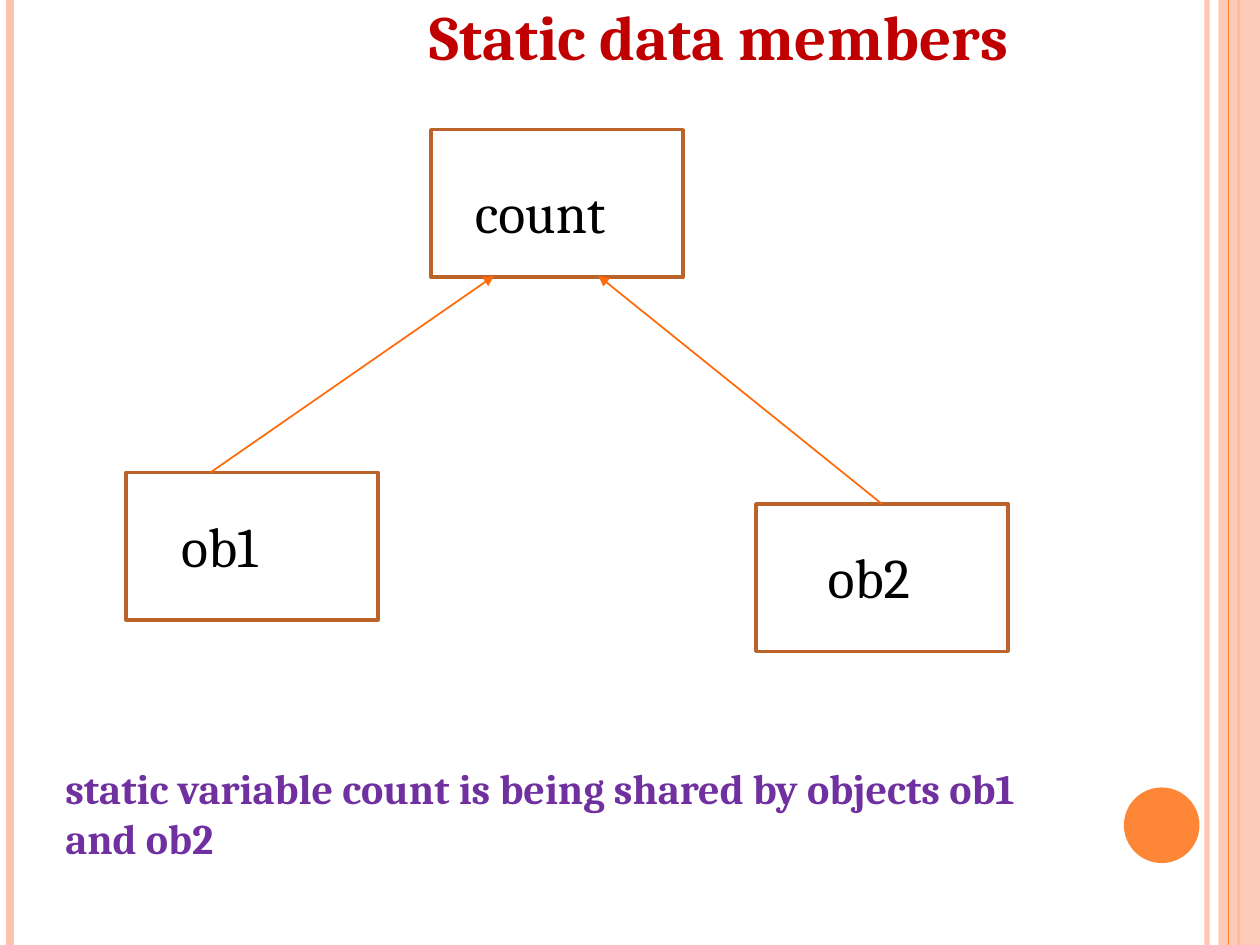
import pptx
import pptx.util
import pptx.dml.color
import pptx.enum.shapes
import pptx.enum.text
import pptx.oxml
import pptx.oxml.ns

Pt = pptx.util.Pt
RGB = pptx.dml.color.RGBColor
SHAPE = pptx.enum.shapes.MSO_SHAPE
ALIGN = pptx.enum.text.PP_ALIGN
ANCHOR = pptx.enum.text.MSO_ANCHOR
FIT = pptx.enum.text.MSO_AUTO_SIZE

PX = 9144
WIDE, HIGH = 1000, 750
FONT = "Cambria"
RED = RGB(0xC0, 0x00, 0x00)
PURPLE = RGB(0x70, 0x30, 0xA0)
BLACK = RGB(0x00, 0x00, 0x00)
BROWN = RGB(0xBC, 0x63, 0x29)
ORANGE = RGB(0xFE, 0x86, 0x37)
BRIGHT = RGB(0xFF, 0x6B, 0x0A)
PEACH = RGB(0xFE, 0xC3, 0xAE)


def emu(*sizes):
    return [size * PX for size in sizes]


def add_child(parent, tag, **attrs):
    child = pptx.oxml.parse_xml(f"<a:{tag} {pptx.oxml.ns.nsdecls('a')}/>")
    for name, value in attrs.items():
        child.set(name, value)
    parent.append(child)


def fade(fill, percent):
    color = fill._xPr.find(".//" + pptx.oxml.ns.qn("a:srgbClr"))
    add_child(color, "alpha", val=str(percent * 1000))


def add_line(slide, start, end, color, width):
    kind = pptx.enum.shapes.MSO_CONNECTOR.STRAIGHT
    line = slide.shapes.add_connector(kind, *emu(*start, *end))
    line.line.color.rgb = color
    line.line.width = Pt(width)
    add_child(line._element.spPr, "effectLst")
    return line


def add_arrow(slide, start, end):
    arrow = add_line(slide, start, end, BRIGHT, 1)
    add_child(arrow.line._get_or_add_ln(), "tailEnd", type="triangle")
    return arrow


def add_rail(slide, x, color, width):
    return add_line(slide, (x, 0), (x, HIGH), color, width)


def add_solid(slide, kind, place, color):
    shape = slide.shapes.add_shape(kind, *emu(*place))
    shape.shadow.inherit = False
    shape.fill.solid()
    shape.fill.fore_color.rgb = color
    shape.line.fill.background()
    return shape


def add_box(slide, x, y):
    box = slide.shapes.add_shape(SHAPE.RECTANGLE, *emu(x, y, 200, 117))
    box.shadow.inherit = False
    box.fill.background()
    box.line.color.rgb = BROWN
    box.line.width = Pt(2)
    return box


def set_text(shape, text, size, color, bold=False, align=ALIGN.LEFT):
    frame = shape.text_frame
    frame.text = text
    frame.word_wrap = True
    para = frame.paragraphs[0]
    para.alignment = align
    font = para.runs[0].font
    font.name, font.size, font.bold = FONT, Pt(size), bold
    font.color.rgb = color


def add_text(slide, place, text, size, color, bold=False):
    label = slide.shapes.add_textbox(*emu(*place))
    set_text(label, text, size, color, bold)
    label.text_frame.auto_size = FIT.SHAPE_TO_FIT_TEXT


def set_title(slide, text):
    title = slide.shapes.title
    title.left, title.top, title.width, title.height = emu(208, -8, 725, 72)
    set_text(title, text, 36, RED, True, ALIGN.CENTER)
    title.text_frame.auto_size = FIT.NONE
    title.text_frame.vertical_anchor = ANCHOR.MIDDLE


def add_frame(slide):
    edge = add_rail(slide, 958, PEACH, 3)
    fade(edge.line.fill, 93)
    add_rail(slide, 8, PEACH, 4.5)
    add_rail(slide, 983, ORANGE, 1.5)
    band = add_solid(slide, SHAPE.RECTANGLE, (967, 0, 33, HIGH), PEACH)
    fade(band.fill, 87)
    add_rail(slide, 975, ORANGE, 0.75)
    add_solid(slide, SHAPE.OVAL, (892, 625, 60, 60), ORANGE)


def main():
    deck = pptx.Presentation()
    deck.slide_width, deck.slide_height = emu(WIDE, HIGH)
    slide = deck.slides.add_slide(deck.slide_layouts[5])
    add_frame(slide)
    set_title(slide, "Static data members")

    add_box(slide, 342, 103)
    add_box(slide, 100, 375)
    second = add_box(slide, 600, 400)
    add_text(slide, (367, 136, 233, 64), "count", 32, BLACK)
    add_text(slide, (134, 401, 233, 64), "ob1", 32, BLACK)
    add_text(slide, (647, 426, 158, 64), "ob2", 32, BLACK)

    add_arrow(slide, (167, 375), (392, 219))
    arrow = add_arrow(slide, (700, 400), (475, 219))
    arrow.begin_connect(second, 0)

    note = "static variable count is being shared by objects ob1 and ob2"
    add_text(slide, (42, 600, 833, 91), note, 24, PURPLE, True)
    deck.save("out.pptx")


if __name__ == "__main__":
    main()
